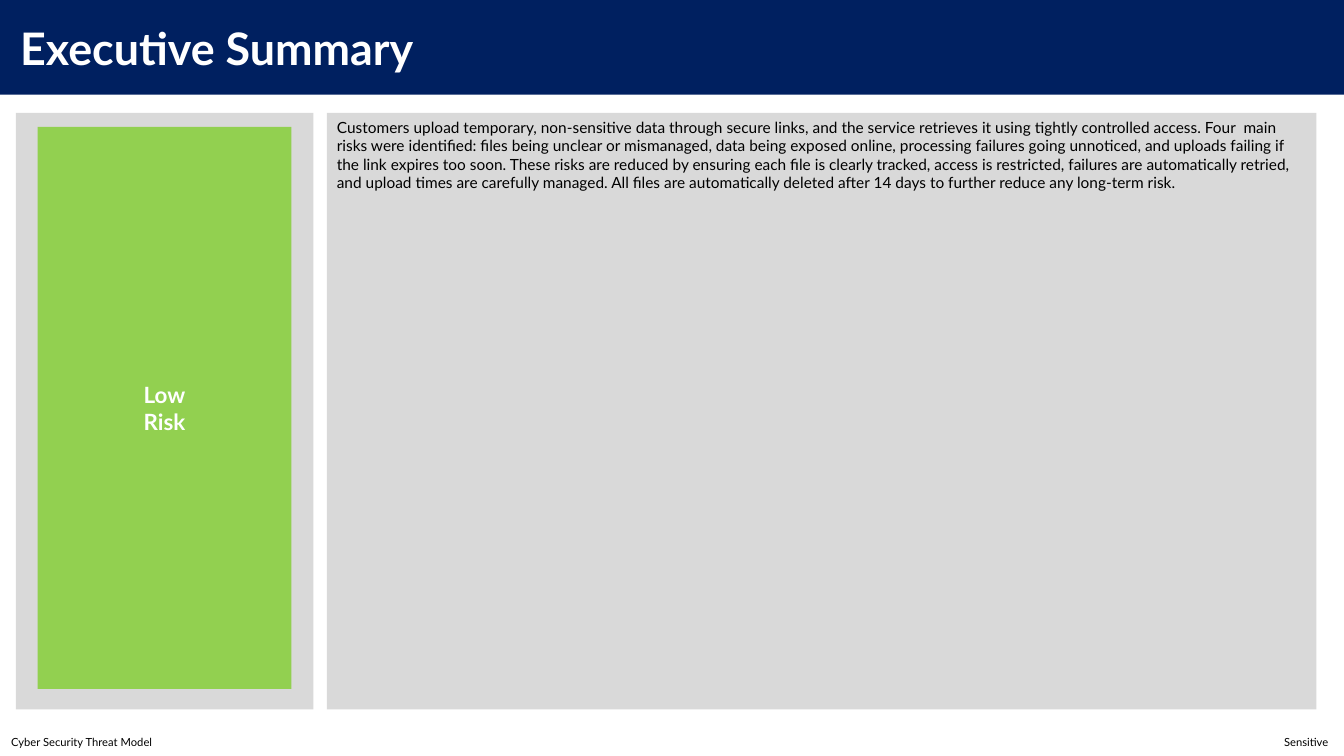
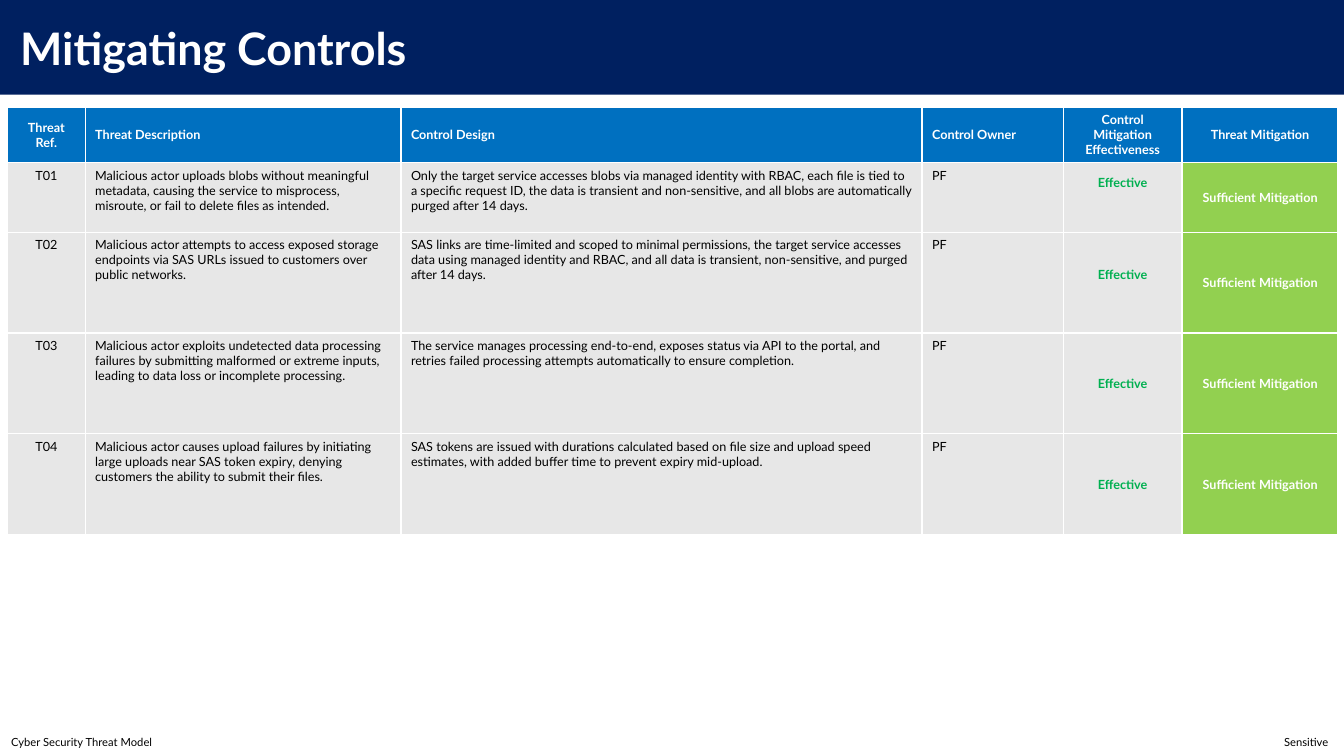
import pptx
import pptx.dml.color
import pptx.enum.shapes
import pptx.enum.text
import pptx.oxml
import pptx.oxml.ns
import pptx.util

Pt = pptx.util.Pt
ALIGN = pptx.enum.text.PP_ALIGN
ANCHOR = pptx.enum.text.MSO_ANCHOR

COLOURS = {
    "navy": "002060",
    "blue": "0070C0",
    "panel": "D9D9D9",
    "row": "E7E7E7",
    "low": "92D050",
    "effective": "00B050",
    "white": "FFFFFF",
    "black": "000000",
}

MARGINS = {
    "margin_left": Pt(7.2),
    "margin_top": Pt(3.6),
    "margin_right": Pt(7.2),
    "margin_bottom": Pt(3.6),
}

STYLES = {
    "title": {"size": 32, "colour": "white", "bold": True},
    "footer": {"size": 8, "colour": "black", "bold": False},
    "body": {"size": 11, "colour": "black", "bold": False},
    "rating": {"size": 16, "colour": "white", "bold": True},
    "heading": {"size": 9, "colour": "white", "bold": True},
    "cell": {"size": 9, "colour": "black", "bold": False},
    "effective": {"size": 9, "colour": "effective", "bold": True},
}


def colour(name):
    return pptx.dml.color.RGBColor.from_string(COLOURS[name])


def apply(target, values):
    for name, value in values.items():
        setattr(target, name, value)


class Report:
    font = "Lato"
    width, height = 960, 540
    band_height = 67.7
    footer_height = 19.4
    footer_text = "Cyber Security Threat Model\tSensitive"

    def __init__(self):
        self.deck = pptx.Presentation()
        apply(self.deck, {"slide_width": Pt(self.width), "slide_height": Pt(self.height)})
        self.page = None

    def fill(self, target, name):
        target.fill.solid()
        target.fill.fore_color.rgb = colour(name)

    def place(self, shape, left, top, width, height):
        apply(shape, {"left": Pt(left), "top": Pt(top), "width": Pt(width), "height": Pt(height)})

    def put_text(self, frame, lines, style, align=ALIGN.LEFT):
        look = STYLES[style]
        for index, line in enumerate(lines):
            para = frame.add_paragraph() if index else frame.paragraphs[0]
            apply(para, {"alignment": align, "space_before": Pt(0)})
            span = para.add_run()
            span.text = line
            apply(span.font, {"name": self.font, "size": Pt(look["size"]), "bold": look["bold"]})
            span.font.color.rgb = colour(look["colour"])

    def frame(self, shape, anchor, **changes):
        values = {
            "word_wrap": True,
            "auto_size": pptx.enum.text.MSO_AUTO_SIZE.NONE,
            "vertical_anchor": anchor,
        }
        apply(shape.text_frame, {**MARGINS, **values, **changes})
        return shape.text_frame

    def add_page(self, title, layout):
        self.page = self.deck.slides.add_slide(self.deck.slide_layouts.get_by_name(layout))
        band = self.page.shapes.title
        self.place(band, 0, 0, self.width, self.band_height)
        self.fill(band, "navy")
        self.put_text(self.frame(band, ANCHOR.MIDDLE, margin_left=Pt(14.4)), [title], "title")
        self.footer()

    def footer(self):
        top = self.height - self.footer_height
        box = self.page.shapes.add_textbox(0, Pt(top), Pt(self.width), Pt(self.footer_height))
        frame = self.frame(box, ANCHOR.MIDDLE, margin_left=Pt(7.9))
        self.put_text(frame, [self.footer_text], "footer")
        properties = frame.paragraphs[0]._p.get_or_add_pPr()
        tabs = properties.makeelement(pptx.oxml.ns.qn("a:tabLst"), {})
        tab = tabs.makeelement(pptx.oxml.ns.qn("a:tab"), {"pos": str(Pt(941)), "algn": "r"})
        tabs.append(tab)
        properties.append(tabs)

    def body(self, text, left, top, width, height):
        box = self.page.placeholders[1]
        self.place(box, left, top, width, height)
        self.fill(box, "panel")
        frame = self.frame(box, ANCHOR.TOP)
        self.put_text(frame, [text], "body")
        properties = frame.paragraphs[0]._p.get_or_add_pPr()
        properties.set("marL", "0")
        properties.set("indent", "0")
        properties.append(properties.makeelement(pptx.oxml.ns.qn("a:buNone"), {}))

    def block(self, fill, left, top, width, height, lines=()):
        box = self.page.shapes.add_shape(
            pptx.enum.shapes.MSO_SHAPE.RECTANGLE, Pt(left), Pt(top), Pt(width), Pt(height)
        )
        box.shadow.inherit = False
        self.fill(box, fill)
        box.line.fill.background()
        self.put_text(self.frame(box, ANCHOR.MIDDLE), lines, "rating", ALIGN.CENTER)

    def cell(self, cell, text, fill, style, align, anchor, lift=0):
        apply(cell, {**MARGINS, "vertical_anchor": anchor, "margin_bottom": Pt(3.6 + lift)})
        self.fill(cell, fill)
        self.put_text(cell.text_frame, [text], style, align)

    def table(self, left, top, columns, heights):
        graphic = self.page.shapes.add_table(
            len(heights), len(columns), Pt(left), Pt(top), Pt(sum(columns)), Pt(sum(heights))
        )
        grid = graphic.table
        grid.horz_banding = False
        for column, width in zip(grid.columns, columns):
            column.width = Pt(width)
        for row, height in zip(grid.rows, heights):
            row.height = Pt(height)
        return grid


SUMMARY = (
    "Customers upload temporary, non-sensitive data through secure links, and the service "
    "retrieves it using tightly controlled access. Four  main risks were identified: files "
    "being unclear or mismanaged, data being exposed online, processing failures going "
    "unnoticed, and uploads failing if the link expires too soon. These risks are reduced by "
    "ensuring each file is clearly tracked, access is restricted, failures are automatically "
    "retried, and upload times are carefully managed. All files are automatically deleted "
    "after 14 days to further reduce any long-term risk."
)

HEADINGS = [
    ("Threat Ref.", ALIGN.CENTER),
    ("Threat Description", ALIGN.LEFT),
    ("Control Design", ALIGN.LEFT),
    ("Control Owner", ALIGN.LEFT),
    ("Control Mitigation Effectiveness", ALIGN.CENTER),
    ("Threat Mitigation", ALIGN.CENTER),
]

THREATS = [
    (
        "Malicious actor uploads blobs without meaningful metadata, causing the service to "
        "misprocess, misroute, or fail to delete files as intended.",
        "Only the target service accesses blobs via managed identity with RBAC, each file is "
        "tied to a specific request ID, the data is transient and non-sensitive, and all blobs "
        "are automatically purged after 14 days.",
        21.6,
    ),
    (
        "Malicious actor attempts to access exposed storage endpoints via SAS URLs issued to "
        "customers over public networks.",
        "SAS links are time-limited and scoped to minimal permissions, the target service "
        "accesses data using managed identity and RBAC, and all data is transient, "
        "non-sensitive, and purged after 14 days.",
        10.8,
    ),
    (
        "Malicious actor exploits undetected data processing failures by submitting malformed "
        "or extreme inputs, leading to data loss or incomplete processing.",
        "The service manages processing end-to-end, exposes status via API to the portal, and "
        "retries failed processing attempts automatically to ensure completion.",
        0,
    ),
    (
        "Malicious actor causes upload failures by initiating large uploads near SAS token "
        "expiry, denying customers the ability to submit their files.",
        "SAS tokens are issued with durations calculated based on file size and upload speed "
        "estimates, with added buffer time to prevent expiry mid-upload.",
        0,
    ),
]


def executive_summary(report):
    report.add_page("Executive Summary", "Title and Content")
    report.body(SUMMARY, 233.4, 80.6, 707, 426.2)
    report.block("panel", 11.4, 80.6, 212.4, 426.2)
    report.block("low", 26.8, 90.7, 181.4, 401.4, ["Low", "Risk"])


def mitigating_controls(report):
    report.add_page("Mitigating Controls", "Title Only")
    columns = [55.4, 225.6, 372.2, 100.8, 85, 111.4]
    grid = report.table(5.4, 76.6, columns, [38.9, 49.7, 72, 72, 72])
    for index, (heading, align) in enumerate(HEADINGS):
        report.cell(grid.cell(0, index), heading, "blue", "heading", align, ANCHOR.MIDDLE)
    for number, (threat, control, lift) in enumerate(THREATS, 1):
        texts = [f"T{number:02}", threat, control, "PF"]
        for index, text in enumerate(texts):
            align = HEADINGS[index][1]
            report.cell(grid.cell(number, index), text, "row", "cell", align, ANCHOR.TOP)
        report.cell(
            grid.cell(number, 4), "Effective", "row", "effective",
            ALIGN.CENTER, ANCHOR.MIDDLE, lift,
        )
        report.cell(
            grid.cell(number, 5), "Sufficient Mitigation", "low", "heading",
            ALIGN.CENTER, ANCHOR.MIDDLE,
        )


def main():
    report = Report()
    executive_summary(report)
    mitigating_controls(report)
    report.deck.save("out.pptx")


if __name__ == "__main__":
    main()
